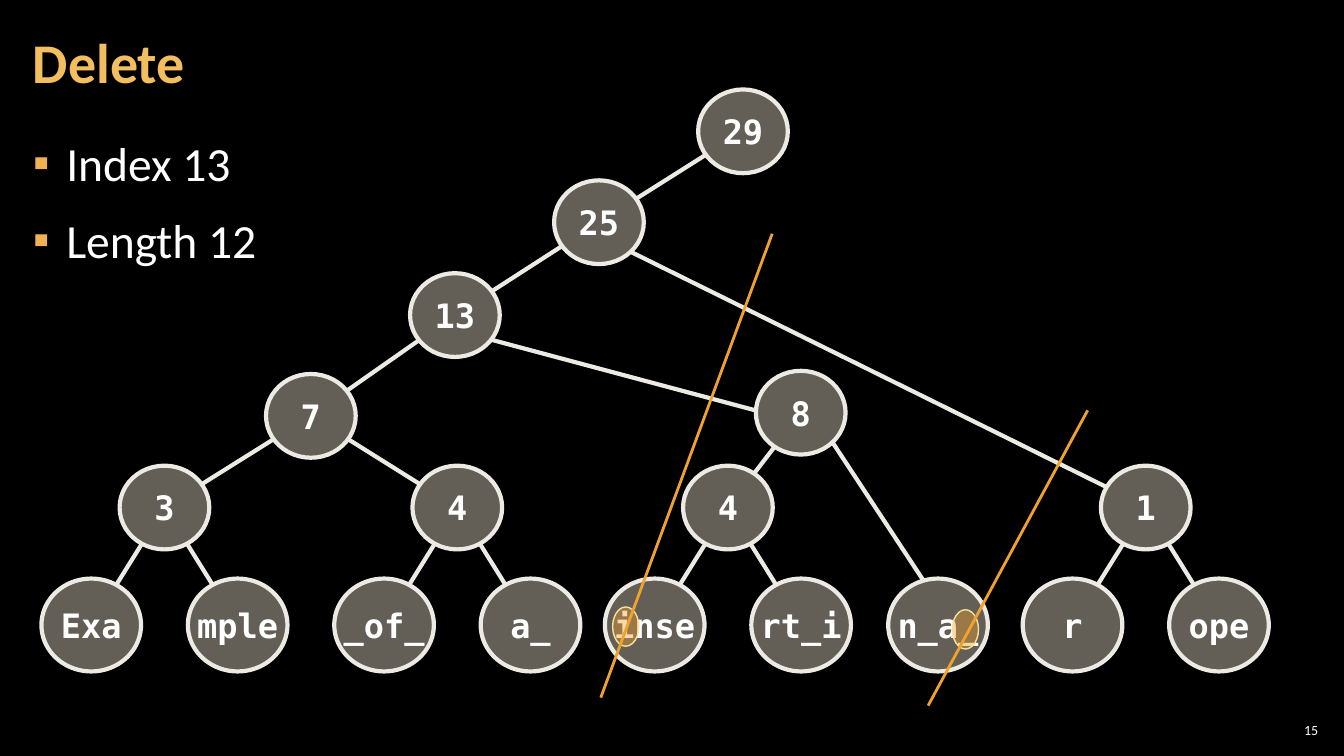
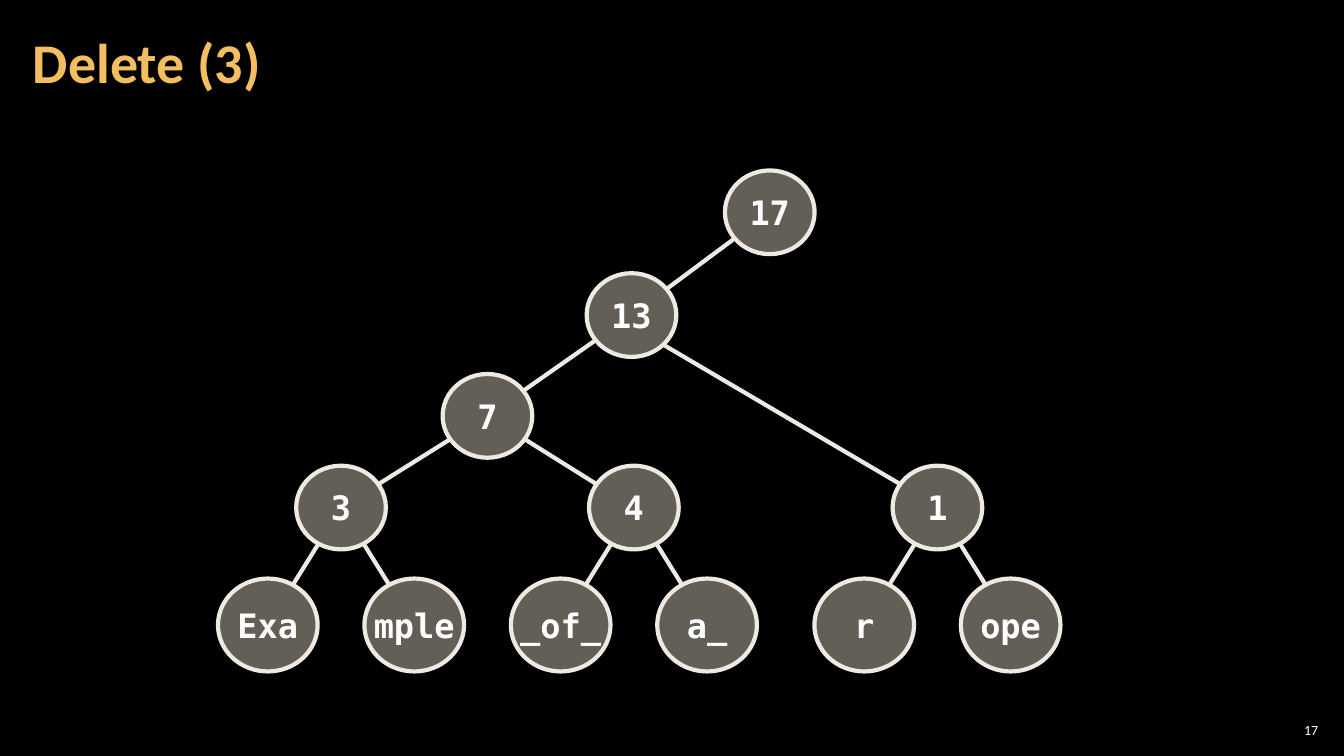
from dataclasses import dataclass
from math import cos, hypot, radians, sin
from typing import Optional

from pptx import Presentation
from pptx.dml.color import RGBColor
from pptx.enum.shapes import MSO_CONNECTOR, MSO_SHAPE
from pptx.enum.text import MSO_ANCHOR, MSO_AUTO_SIZE, PP_ALIGN
from pptx.oxml.ns import qn
from pptx.oxml.xmlchemy import OxmlElement
from pptx.util import Cm, Pt

OVAL = MSO_SHAPE.OVAL
STRAIGHT = MSO_CONNECTOR.STRAIGHT
TOP, MIDDLE = MSO_ANCHOR.TOP, MSO_ANCHOR.MIDDLE
LEFT, CENTER, RIGHT = PP_ALIGN.LEFT, PP_ALIGN.CENTER, PP_ALIGN.RIGHT
NO_AUTOFIT = MSO_AUTO_SIZE.NONE
TITLE_AND_BODY, TITLE_ONLY = 1, 5

COLORS = {
    "background": "000000",
    "text": "FFFFFF",
    "title": "F3BE60",
    "bullet": "F2B254",
    "node": "C7BFAC",
    "node_line": "ECEAE3",
    "accent": "F0A22E",
    "highlight_line": "F8E19F",
}
TEXT_FONT, NODE_FONT = "Calibri", "DejaVu Sans Mono"

# Left, top, width and height in centimetres
TITLE_BOX = (0.53, 0.1, 26.59, 3.07)
BODY_BOX = (0.53, 3.2, 32.79, 15.47)
NUMBER_BOX = (32.13, 18.14, 1.19, 0.53)

# Tree measures in centimetres
NODE_SIZE, LEAF_SIZE = (2.26, 2.11), (2.51, 2.34)
HIGHLIGHT_SIZE = (0.66, 0.99)
LEAF_STEP, SPINE_STEP = 3.69, 3.63
LEAF_Y, PAIR_Y = 15.75, 12.79


@dataclass
class Node:
    text: str
    x: float
    y: float
    left: Optional["Node"] = None
    right: Optional["Node"] = None
    leave: Optional[float] = None    # angle where the right edge starts
    arrive: Optional[float] = None   # angle where the parent's edge ends

    def children(self):
        return [child for child in (self.left, self.right) if child]

    def size(self):
        return NODE_SIZE if self.children() else LEAF_SIZE

    def rim_point(self, angle, target):
        """Point on the outline at an angle, or else towards the target."""
        radius_x, radius_y = (length / 2 for length in self.size())
        if angle is not None:
            return (self.x + radius_x * cos(radians(angle)),
                    self.y + radius_y * sin(radians(angle)))
        delta_x, delta_y = target.x - self.x, target.y - self.y
        reach = hypot(delta_x / radius_x, delta_y / radius_y)
        return self.x + delta_x / reach, self.y + delta_y / reach


# Shared formatting
def rgb(name):
    return RGBColor.from_string(COLORS[name])


def apply_format(target, values):
    for name, value in values.items():
        setattr(target, name, value)


def place(shape, box):
    names = ("left", "top", "width", "height")
    apply_format(shape, dict(zip(names, map(Cm, box))))


def format_frame(frame, anchor, margin_x, margin_y):
    apply_format(frame, {
        "word_wrap": True, "auto_size": NO_AUTOFIT, "vertical_anchor": anchor,
        "margin_left": Cm(margin_x), "margin_right": Cm(margin_x),
        "margin_top": Cm(margin_y), "margin_bottom": Cm(margin_y),
    })


def write(paragraph, text, size, color="text", font=TEXT_FONT, bold=False,
          **paragraph_format):
    run = paragraph.add_run()
    run.text = text
    apply_format(run.font, {"name": font, "size": Pt(size), "bold": bold})
    run.font.color.rgb = rgb(color)
    apply_format(paragraph, paragraph_format)


def set_line(shape, color, width):
    shape.line.color.rgb = rgb(color)
    shape.line.width = Pt(width)


def add_bullet(paragraph):
    properties = paragraph._p.get_or_add_pPr()
    properties.set("marL", str(Cm(0.84)))
    properties.set("indent", str(-Cm(0.84)))
    bullet_color = OxmlElement("a:buClr")
    color = OxmlElement("a:srgbClr")
    color.set("val", COLORS["bullet"])
    bullet_color.append(color)
    character = OxmlElement("a:buChar")
    character.set("char", "▪")
    properties.extend([bullet_color, character])


# Slide parts
def add_slide(presentation, title, number, bullets=()):
    layout = TITLE_AND_BODY if bullets else TITLE_ONLY
    slide = presentation.slides.add_slide(presentation.slide_layouts[layout])

    place(slide.shapes.title, TITLE_BOX)
    frame = slide.shapes.title.text_frame
    format_frame(frame, MIDDLE, 0.3, 0.1)
    write(frame.paragraphs[0], title, 40, "title", bold=True,
          alignment=LEFT, line_spacing=0.9)

    if bullets:
        body = slide.placeholders[1]
        place(body, BODY_BOX)
        frame = body.text_frame
        format_frame(frame, TOP, 0.3, 0.1)
        for index, text in enumerate(bullets):
            paragraph = frame.add_paragraph() if index else frame.paragraphs[0]
            write(paragraph, text, 34, line_spacing=1.05,
                  space_before=Pt(6), space_after=Pt(6))
            add_bullet(paragraph)

    number_box = slide.shapes.add_textbox(*map(Cm, NUMBER_BOX))
    format_frame(number_box.text_frame, MIDDLE, 0.1, 0.1)
    write(number_box.text_frame.paragraphs[0], str(number), 10,
          alignment=RIGHT)
    return slide


def add_ellipse(slide, center, size, fill, opacity, line, line_width):
    (x, y), (width, height) = center, size
    box = (x - width / 2, y - height / 2, width, height)
    shape = slide.shapes.add_shape(OVAL, *map(Cm, box))
    shape.shadow.inherit = False
    shape.fill.solid()
    shape.fill.fore_color.rgb = rgb(fill)
    alpha = OxmlElement("a:alpha")
    alpha.set("val", str(opacity * 1000))
    shape._element.spPr.find(qn("a:solidFill"))[0].append(alpha)
    set_line(shape, line, line_width)
    return shape


def add_line(slide, start, end, color, width):
    line = slide.shapes.add_connector(STRAIGHT, *map(Cm, (*start, *end)))
    set_line(line, color, width)
    line._element.spPr.append(OxmlElement("a:effectLst"))


def add_tree(slide, node):
    shape = add_ellipse(slide, (node.x, node.y), node.size(),
                        "node", 50, "node_line", 3)
    frame = shape.text_frame
    apply_format(frame, {"word_wrap": False, "vertical_anchor": MIDDLE})
    write(frame.paragraphs[0], node.text, 24, font=NODE_FONT, bold=True,
          alignment=CENTER)
    for child in node.children():
        angle = node.leave if child is node.right else None
        add_line(slide, node.rim_point(angle, child),
                 child.rim_point(child.arrive, node), "node_line", 3)
        add_tree(slide, child)


def add_cut(slide, highlight, start, end):
    add_ellipse(slide, highlight, HIGHLIGHT_SIZE,
                "accent", 40, "highlight_line", 1)
    add_line(slide, start, end, "accent", 2)


# Tree parts
def leaf_pair(text, leaves, x):
    left, right = (Node(leaf, x + index * LEAF_STEP, LEAF_Y)
                   for index, leaf in enumerate(leaves))
    return Node(text, x + LEAF_STEP / 2, PAIR_Y, left, right)


def spine_tree(x, right, leave):
    """Node 13 over the unchanged left part, with the given right part."""
    first = leaf_pair("3", ("Exa", "mple"), x)
    second = leaf_pair("4", ("_of_", "a_"), x + 2 * LEAF_STEP)
    seven = Node("7", (first.x + second.x) / 2, 10.48, first, second)
    return Node("13", seven.x + SPINE_STEP, 7.94, seven, right, leave)


def tree_before():
    eight = Node("8", 20.18, 10.4, leaf_pair("4", ("inse", "rt_i"), 16.5),
                 Node("n_a_", 23.64, LEAF_Y, arrive=253),
                 leave=45, arrive=183)
    thirteen = spine_tree(2.3, eight, 36)
    last = leaf_pair("1", ("r", "ope"), 27.03)
    twenty_five = Node("25", thirteen.x + SPINE_STEP, 5.6, thirteen, last, 45)
    return Node("29", twenty_five.x + SPINE_STEP, 3.31, twenty_five)


def tree_after():
    thirteen = spine_tree(6.75, leaf_pair("1", ("r", "ope"), 21.78), 45)
    return Node("17", 19.4, 5.35, thirteen)


def main():
    presentation = Presentation()
    presentation.slide_width, presentation.slide_height = Cm(33.87), Cm(19.05)
    background = presentation.slide_master.background.fill
    background.solid()
    background.fore_color.rgb = rgb("background")

    # Tree with the two cuts around the deleted range
    slide = add_slide(presentation, "Delete", 15, ("Index 13", "Length 12"))
    add_tree(slide, tree_before())
    add_cut(slide, (15.77, 15.79), (15.14, 17.58), (19.46, 5.89))
    add_cut(slide, (24.33, 15.86), (23.39, 17.78), (27.41, 10.34))

    # Tree after the deletion
    slide = add_slide(presentation, "Delete (3)", 17)
    add_tree(slide, tree_after())

    presentation.save("out.pptx")


if __name__ == "__main__":
    main()
